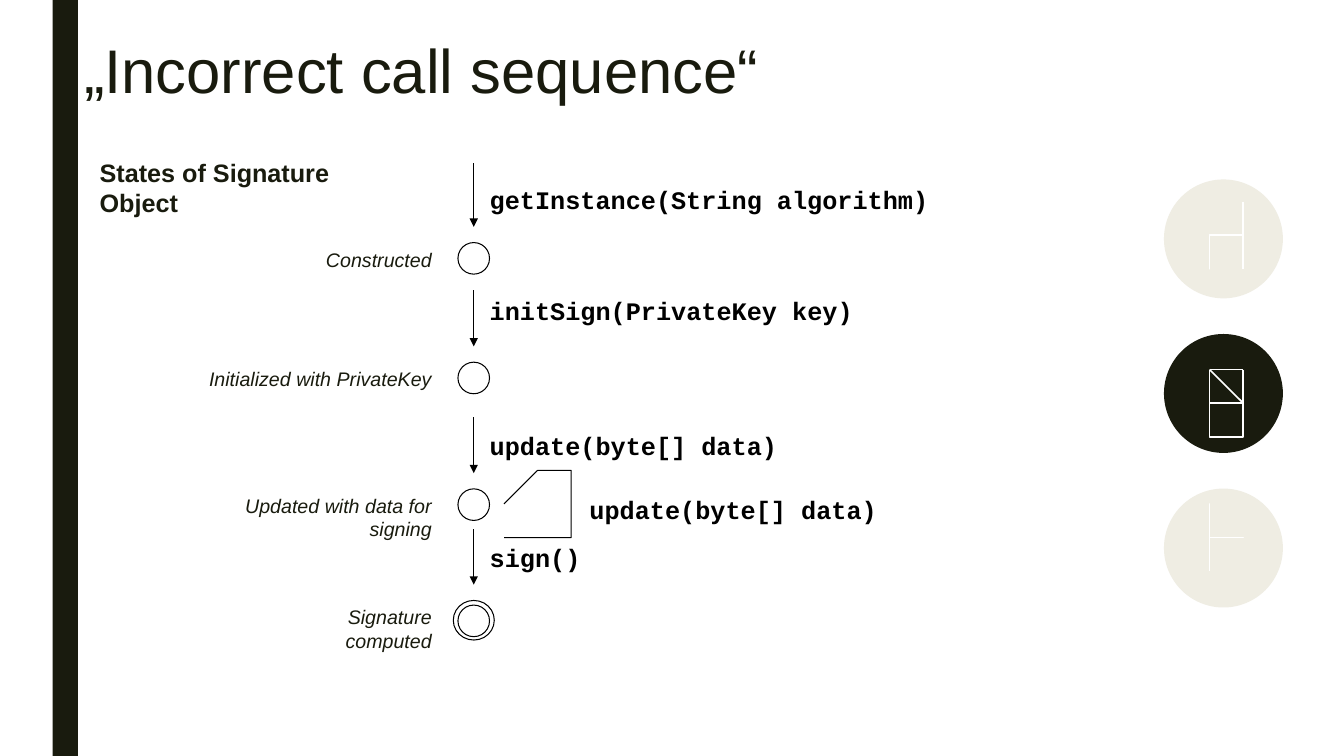
import math
from dataclasses import dataclass

from lxml import etree
from pptx import Presentation
from pptx.dml.color import RGBColor
from pptx.enum.shapes import MSO_CONNECTOR, MSO_SHAPE
from pptx.enum.text import MSO_ANCHOR, MSO_AUTO_SIZE, PP_ALIGN
from pptx.oxml.ns import qn
from pptx.util import Inches, Pt

LEFT, RIGHT = PP_ALIGN.LEFT, PP_ALIGN.RIGHT
TOP, NO_FIT = MSO_ANCHOR.TOP, MSO_AUTO_SIZE.NONE
RECT, OVAL, STRAIGHT = MSO_SHAPE.RECTANGLE, MSO_SHAPE.OVAL, MSO_CONNECTOR.STRAIGHT

COLORS = {"dark": "191B0E", "pale": "EFEDE3", "white": "FFFFFF", "black": "000000"}
SANS, MONO = "Arial", "Courier New"

# The slide is a grid of 40 columns by 22.5 rows of square cells
COLS, ROWS = 40, 22.5
WIDTH, HEIGHT = Inches(13.333), Inches(7.5)
CELL = HEIGHT / ROWS

AXIS_X = 14.1       # vertical line through arrows and states
CALL_X = 14.28      # left edge of call labels
LABEL_RIGHT = 13.15  # right edge of state labels
STATE_GAP = 0.47    # arrow tip to state
STATE_SIZE = 0.94
BADGE_X, BADGE_Y, BADGE_SIZE, BADGE_PITCH = 34.64, 5.34, 3.54, 4.6

Point = tuple[float, float]
Path = list[Point]


@dataclass
class Step:
    call: str
    call_y: float
    call_width: float
    arrow_top: float
    arrow_end: float
    state: str
    label_width: float
    label_height: float
    final: bool = False


@dataclass
class Badge:
    color: str
    icon: list[Path]


def circle(x: float, y: float, r: float) -> Path:
    angles = [math.tau * i / 36 for i in range(37)]
    return [(x + r * math.cos(a), y + r * math.sin(a)) for a in angles]


def candle(x: float, y: float) -> list[Path]:
    w, h, wick = 0.15, 0.17, 0.52
    box = [(x - w, y - h), (x + w, y - h), (x + w, y + h), (x - w, y + h), (x - w, y - h)]
    return [box, [(x, y - wick), (x, y - h)], [(x, y + h), (x, y + wick)]]


def cross(x: float, y: float) -> list[Path]:
    d = 0.17
    return [[(x - d, y - d), (x + d, y + d)], [(x - d, y + d), (x + d, y - d)]]


def bezier(points: Path) -> Path:
    """Sample a chain of cubic curves: a start, then three points per curve."""
    curve = [points[0]]
    for i in range(0, len(points) - 1, 3):
        a, b, c, d = points[i:i + 4]
        for t in [n / 12 for n in range(1, 13)]:
            u = 1 - t
            weights = (u**3, 3 * u * u * t, 3 * u * t * t, t**3)
            curve.append(tuple(sum(k * p[axis] for k, p in zip(weights, (a, b, c, d)))
                               for axis in (0, 1)))
    return curve


STEPS = [
    Step("getInstance(String algorithm)", 5.34, 13.71, 4.86, 6.75, "Constructed", 4.35, 1.02),
    Step("initSign(PrivateKey key)", 8.64, 11.46, 8.64, 10.31,
         "Initialized with PrivateKey", 10.15, 1.02),
    Step("update(byte[] data)", 12.66, 9.21, 12.42, 14.08,
         "Updated with data for signing", 7.77, 1.71),
    Step("sign()", 15.99, 3.33, 15.75, 17.4, "Signature computed", 5.4, 1.71, final=True),
]
SELF_LOOP = [(15.27, 14.73), (15.42, 14.52), (15.81, 14.28), (16.08, 14.34),
             (16.35, 14.37), (16.89, 14.61), (16.95, 15), (17.04, 15.39),
             (16.77, 15.93), (16.26, 16.02), (15.72, 16.11), (15.6, 15.96), (15.21, 15.54)]

# Icon paths, measured from the centre of the badge
CANDLES = [path for x, y in [(-0.68, 0.35), (-0.23, -0.06), (0.23, 0.11), (0.69, -0.36)]
           for path in candle(x, y)]
TACTICS = [path for x, y in [(0.57, -0.17), (0.16, -0.74), (-0.57, 0.42)]
           for path in cross(x, y)]
TACTICS += [[(-0.27, -0.5), (-0.66, -0.5), (-0.66, -0.09)],
            [(-0.66, -0.5), (0.12, 0.28), (0.12, 0.58)], circle(0.13, 0.76, 0.18)]
MOLECULE = [circle(-0.42, 0.68, 0.41), circle(0.21, -0.21, 0.34),
            circle(-0.6, -0.69, 0.25), circle(0.88, -0.42, 0.19),
            [(-0.22, 0.33), (-0.03, 0.06)], [(-0.13, 0.41), (0.05, 0.11)],
            [(-0.42, -0.51), (-0.1, -0.31)], [(-0.36, -0.61), (-0.04, -0.42)],
            [(0.51, -0.36), (0.7, -0.4)], [(0.54, -0.25), (0.74, -0.31)]]
BADGES = [Badge("pale", CANDLES), Badge("dark", TACTICS), Badge("pale", MOLECULE)]


def cells(*values: float) -> list[int]:
    return [round(v * CELL) for v in values]


def rgb(name: str) -> RGBColor:
    return RGBColor.from_string(COLORS[name])


def add_preset(s, kind, x: float, y: float, w: float, h: float, fill: str, line: str = ""):
    sp = s.shapes.add_shape(kind, *cells(x, y, w, h))
    sp.shadow.inherit = False
    sp.fill.solid()
    sp.fill.fore_color.rgb = rgb(fill)
    if line:
        sp.line.color.rgb = rgb(line)
        sp.line.width = Pt(0.75)
    else:
        sp.line.fill.background()


def add_paths(s, paths: list[Path], color: str, width: float, x: float = 0, y: float = 0):
    fb = None
    for path in paths:
        start, *rest = [(x + px, y + py) for px, py in path]
        if fb is None:
            fb = s.shapes.build_freeform(*start, scale=CELL)
        else:
            fb.move_to(*start)
        fb.add_line_segments(rest, close=False)
    sp = fb.convert_to_shape()
    sp.shadow.inherit = False
    sp.fill.background()
    sp.line.color.rgb = rgb(color)
    sp.line.width = Pt(width)


def add_arrow(s, x: float, top: float, end: float):
    cxn = s.shapes.add_connector(STRAIGHT, *cells(x, top, x, end))
    cxn.line.color.rgb = rgb("black")
    cxn.line.width = Pt(0.75)
    etree.SubElement(cxn.line._get_or_add_ln(), qn("a:tailEnd"), type="triangle")
    etree.SubElement(cxn._element.spPr, qn("a:effectLst"))


def write(sp, text: str, size: float, font: str = SANS, color: str = "dark",
          align=LEFT, bold: bool = False, italic: bool = False):
    tf = sp.text_frame
    tf.text = text
    tf.word_wrap = True
    tf.auto_size = NO_FIT
    tf.vertical_anchor = TOP
    p = tf.paragraphs[0]
    p.alignment = align
    f = p.runs[0].font
    f.name, f.size, f.bold, f.italic = font, Pt(size), bold, italic
    f.color.rgb = rgb(color)


def add_text(s, text: str, x: float, y: float, w: float, h: float, size: float = 18, **style):
    write(s.shapes.add_textbox(*cells(x, y, w, h)), text, size, **style)


def add_call(s, text: str, x: float, y: float, w: float):
    add_text(s, text, x, y, w, 1.2, font=MONO, color="black", bold=True)


def add_step(s, step: Step):
    top = step.arrow_end + STATE_GAP
    add_arrow(s, AXIS_X, step.arrow_top, step.arrow_end)
    add_call(s, step.call, CALL_X, step.call_y, step.call_width)
    inset = 0.14 if step.final else 0
    if step.final:
        add_preset(s, OVAL, AXIS_X - 0.61, top, 1.22, 1.18, "white", "black")
    add_preset(s, OVAL, AXIS_X - STATE_SIZE / 2, top + inset, STATE_SIZE, STATE_SIZE,
               "white", "black")
    add_text(s, step.state, LABEL_RIGHT - step.label_width, top, step.label_width,
             step.label_height, size=14, align=RIGHT, italic=True)


def main():
    prs = Presentation()
    prs.slide_width, prs.slide_height = WIDTH, HEIGHT
    s = prs.slides.add_slide(prs.slide_layouts[5])

    # Side bar and title
    add_preset(s, RECT, 1.57, 0, 0.75, ROWS, "dark")
    title = s.shapes.title
    title.left, title.top, title.width, title.height = cells(2.2, 1.08, COLS - 2.2, 4.11)
    write(title, "„Incorrect call sequence“", 44)
    title.text_frame.paragraphs[0].line_spacing = 0.89

    # Topic badges
    for i, badge in enumerate(BADGES):
        y = BADGE_Y + i * BADGE_PITCH
        add_preset(s, OVAL, BADGE_X, y, BADGE_SIZE, BADGE_SIZE, badge.color)
        add_paths(s, badge.icon, "white", 1.2, BADGE_X + BADGE_SIZE / 2, y + BADGE_SIZE / 2)

    # State diagram
    add_text(s, "States of Signature Object", 2.67, 4.53, 8.73, 2.13, bold=True)
    for step in STEPS:
        add_step(s, step)
    add_paths(s, [bezier(SELF_LOOP)], "black", 0.75)
    add_call(s, "update(byte[] data)", 17.25, 14.55, 9.21)

    prs.save("out.pptx")


if __name__ == "__main__":
    main()
